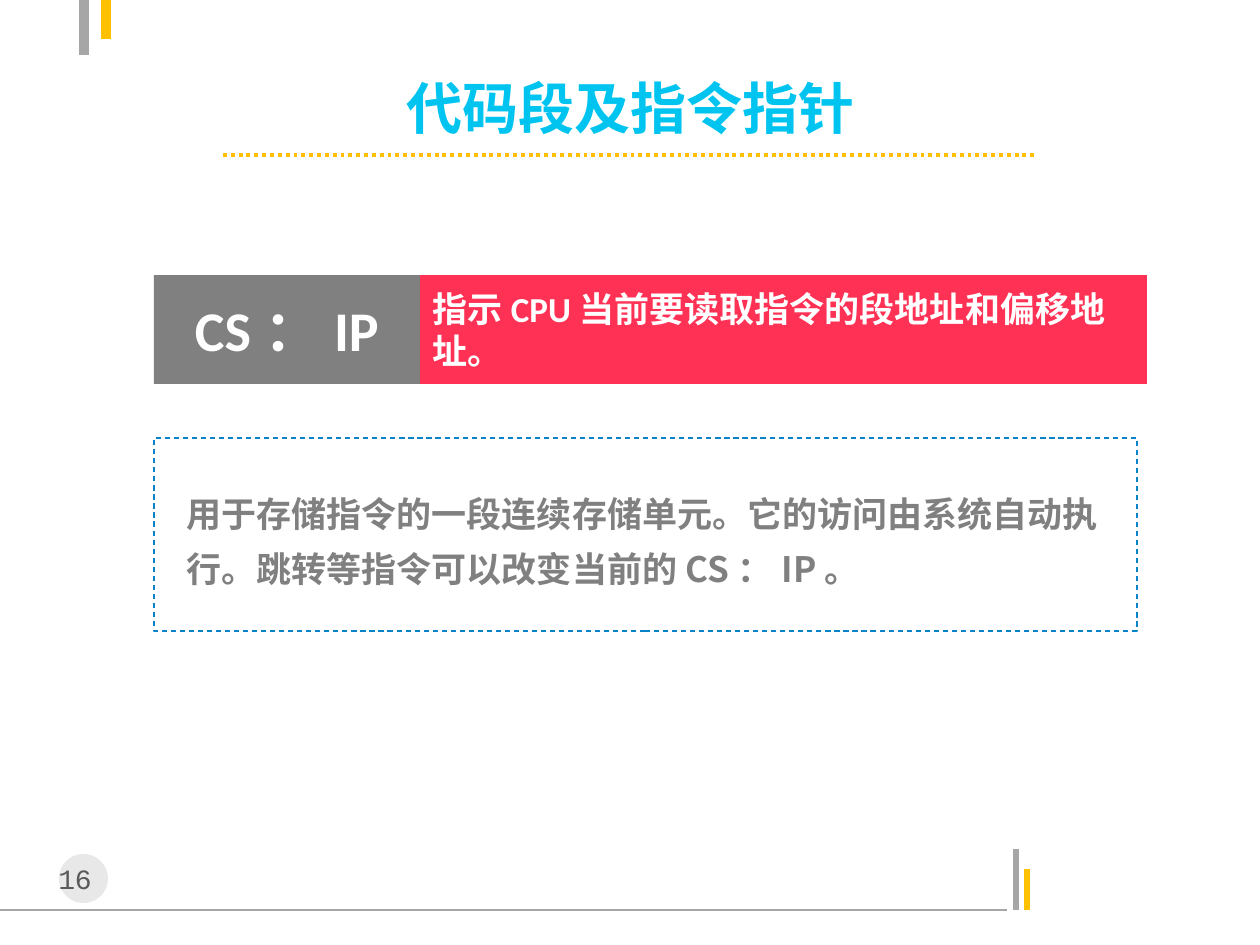
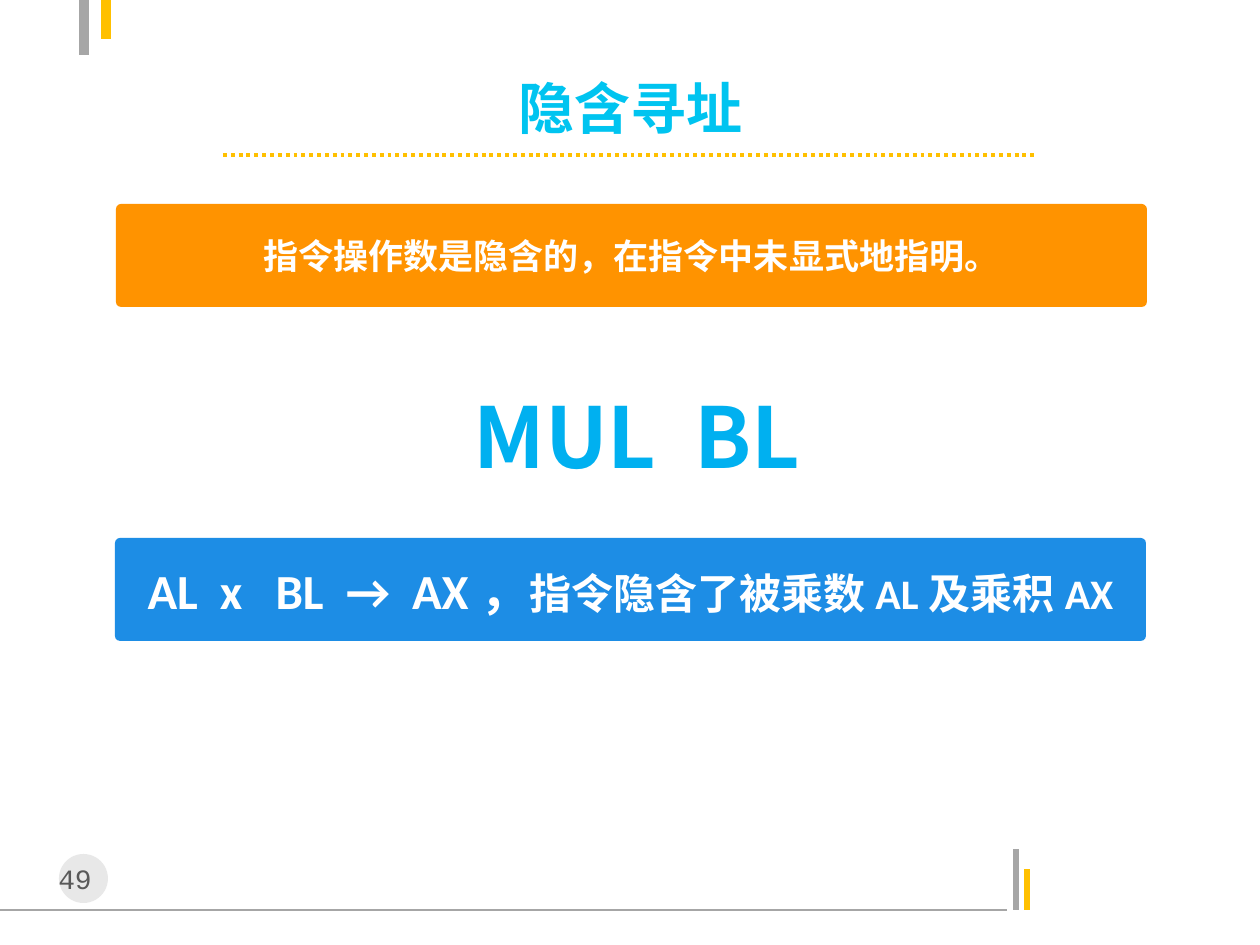
from typing import NamedTuple

from lxml import etree
from pptx import Presentation
from pptx.dml.color import RGBColor
from pptx.enum.dml import MSO_LINE
from pptx.enum.shapes import MSO_CONNECTOR, MSO_SHAPE
from pptx.enum.text import MSO_ANCHOR, PP_ALIGN
from pptx.oxml.ns import qn
from pptx.util import Pt

PX = 914400 / 126
BLANK_LAYOUT = 6

STRAIGHT = MSO_CONNECTOR.STRAIGHT
RECTANGLE, ROUNDED, OVAL = MSO_SHAPE.RECTANGLE, MSO_SHAPE.ROUNDED_RECTANGLE, MSO_SHAPE.OVAL
LEFT, CENTER = PP_ALIGN.LEFT, PP_ALIGN.CENTER
TOP, MIDDLE = MSO_ANCHOR.TOP, MSO_ANCHOR.MIDDLE
DOTTED, DASHED = MSO_LINE.ROUND_DOT, MSO_LINE.DASH

WHITE = RGBColor(0xFF, 0xFF, 0xFF)
GREY = RGBColor(0x80, 0x80, 0x80)
LIGHT_GREY = RGBColor(0xA6, 0xA6, 0xA6)
BADGE_GREY = RGBColor(0xBF, 0xBF, 0xBF)
DARK_GREY = RGBColor(0x59, 0x59, 0x59)
GOLD = RGBColor(0xFF, 0xC0, 0x00)
CYAN = RGBColor(0x00, 0xC4, 0xF0)
SKY = RGBColor(0x00, 0xB0, 0xF0)
RED = RGBColor(0xFF, 0x32, 0x55)
ORANGE = RGBColor(0xFF, 0x93, 0x00)
BLUE = RGBColor(0x1D, 0x8D, 0xE5)
FRAME_BLUE = RGBColor(0x08, 0x83, 0xC8)

LATIN, CHINESE, MONO = "Calibri", "Noto Sans CJK SC", "Courier New"


class Box(NamedTuple):
    left: int
    top: int
    width: int
    height: int

    def inner(self, left, top, width, height):
        """Return a box whose position is given from this box's corner."""
        return Box(self.left + left, self.top + top, width, height)

    def emu(self):
        return [round(value * PX) for value in self]


class Run(NamedTuple):
    text: str
    size: int
    spacing: float = 0


PAGE = Box(0, 0, 1260, 945)
TITLE = Box(174, 76, 913, 63)
FOOTER = Box(0, 849, 1029, 61)


def add_line(slide, start, end, color, width, dash=None):
    points = [round(value * PX) for value in (*start, *end)]
    connector = slide.shapes.add_connector(STRAIGHT, *points)
    connector.line.color.rgb = color
    connector.line.width = Pt(width)
    if dash is not None:
        connector.line.dash_style = dash
    etree.SubElement(connector._element.spPr, qn("a:effectLst"))


def add_panel(slide, box, kind=RECTANGLE, fill=None):
    shape = slide.shapes.add_shape(kind, *box.emu())
    shape.shadow.inherit = False
    shape.line.fill.background()
    if fill is None:
        shape.fill.background()
    else:
        shape.fill.solid()
        shape.fill.fore_color.rgb = fill
    if kind == ROUNDED:
        shape.adjustments[0] = 0.05
    return shape


def write(shape, runs, color, font=LATIN, bold=True, align=LEFT, anchor=MIDDLE, line_spacing=None):
    """Fill the shape with one paragraph; a run's spacing widens its letters, in points."""
    frame = shape.text_frame
    frame.word_wrap = True
    frame.vertical_anchor = anchor
    paragraph = frame.paragraphs[0]
    paragraph.alignment = align
    paragraph.line_spacing = line_spacing
    for text, size, spacing in runs:
        run = paragraph.add_run()
        run.text = text
        formats = {"size": Pt(size), "name": font, "bold": bold}
        for name, value in formats.items():
            setattr(run.font, name, value)
        run.font.color.rgb = color
        properties = run._r.get_or_add_rPr()
        if spacing:
            properties.set("spc", str(round(spacing * 100)))
        etree.SubElement(properties, qn("a:ea")).set("typeface", CHINESE)


def add_text(slide, box, runs, color, **formats):
    write(slide.shapes.add_textbox(*box.emu()), runs, color, **formats)


def add_corner_bars(slide, box):
    for x, length, color in ((84, 55, LIGHT_GREY), (106, 39, GOLD)):
        add_line(slide, (box.left + x, box.top), (box.left + x, box.top + length), color, 6)


def add_title(slide, box, title):
    add_text(slide, box, [Run(title, 32)], CYAN, font=CHINESE, align=CENTER)
    rule_y = box.top + box.height + 16
    add_line(slide, (box.left + 49, rule_y), (box.left + box.width - 50, rule_y), GOLD, 2.25, DOTTED)


def add_footer(slide, box, number):
    bottom = box.top + box.height
    add_line(slide, (box.left, bottom), (box.left + 1007, bottom), LIGHT_GREY, 0.75)
    for x, length, color in ((1016, 61, LIGHT_GREY), (1027, 41, GOLD)):
        add_line(slide, (box.left + x, bottom), (box.left + x, bottom - length), color, 3)
    badge = add_panel(slide, box.inner(59, 5, 49, 49), OVAL, BADGE_GREY)
    color = badge._element.spPr.find(".//" + qn("a:srgbClr"))
    etree.SubElement(color, qn("a:alpha")).set("val", "35000")
    add_text(slide, box.inner(39, 6, 89, 47), [Run(f"{number} ", 16)], DARK_GREY,
             font=MONO, bold=False, align=CENTER, anchor=TOP)


def add_definition(slide, box, term, meaning):
    term_width = 266
    meaning_box = box.inner(term_width, 0, box.width - term_width, box.height)
    write(add_panel(slide, meaning_box, fill=RED), [Run(meaning, 20)], WHITE)
    term_box = box.inner(0, 0, term_width, box.height)
    write(add_panel(slide, term_box, fill=GREY), [Run(term, 32)], WHITE, align=CENTER)


def add_framed_note(slide, box, note):
    frame = add_panel(slide, box)
    frame.line.color.rgb = FRAME_BLUE
    frame.line.width = Pt(0.75)
    frame.line.dash_style = DASHED
    add_text(slide, box.inner(20, 34, box.width - 30, 120), [Run(note, 20)], GREY,
             font=CHINESE, anchor=TOP, line_spacing=1.33)


def add_banner(slide, box, runs, fill):
    write(add_panel(slide, box, ROUNDED, fill), runs, WHITE, align=CENTER)


def add_base_slide(presentation, title, number):
    slide = presentation.slides.add_slide(presentation.slide_layouts[BLANK_LAYOUT])
    add_corner_bars(slide, PAGE)
    add_footer(slide, FOOTER, number)
    add_title(slide, TITLE, title)
    return slide


def build_code_segment(presentation):
    slide = add_base_slide(presentation, "代码段及指令指针", 16)
    add_definition(slide, Box(154, 275, 993, 109), "CS：IP",
                   "指示CPU当前要读取指令的段地址和偏移地址。")
    add_framed_note(slide, Box(154, 438, 983, 193),
                    "用于存储指令的一段连续存储单元。它的访问由系统自动执行。"
                    "跳转等指令可以改变当前的CS：IP。")


def build_implied_addressing(presentation):
    slide = add_base_slide(presentation, "隐含寻址", 49)
    add_banner(slide, Box(116, 204, 1031, 103),
               [Run("指令操作数是隐含的，在指令中未显式地指明。", 20)], ORANGE)
    add_text(slide, Box(461, 368, 397, 120),
             [Run("MUL", 48), Run(" ", 48, 10.8), Run("BL", 48)],
             SKY, font=CHINESE, line_spacing=1.14)
    gap, wide_gap = Run(" ", 28, 6.3), Run(" ", 28, 12.6)
    formula = [Run("AL", 28), gap, Run("x", 28), wide_gap, Run("BL", 28), gap,
               Run("→", 28), gap, Run("AX，", 28), Run("指令隐含了被乘数AL及乘积AX", 24)]
    add_banner(slide, Box(115, 538, 1031, 103), formula, BLUE)


def main():
    presentation = Presentation()
    presentation.slide_width, presentation.slide_height = PAGE.emu()[2:]
    build_code_segment(presentation)
    build_implied_addressing(presentation)
    presentation.save("out.pptx")


if __name__ == "__main__":
    main()
